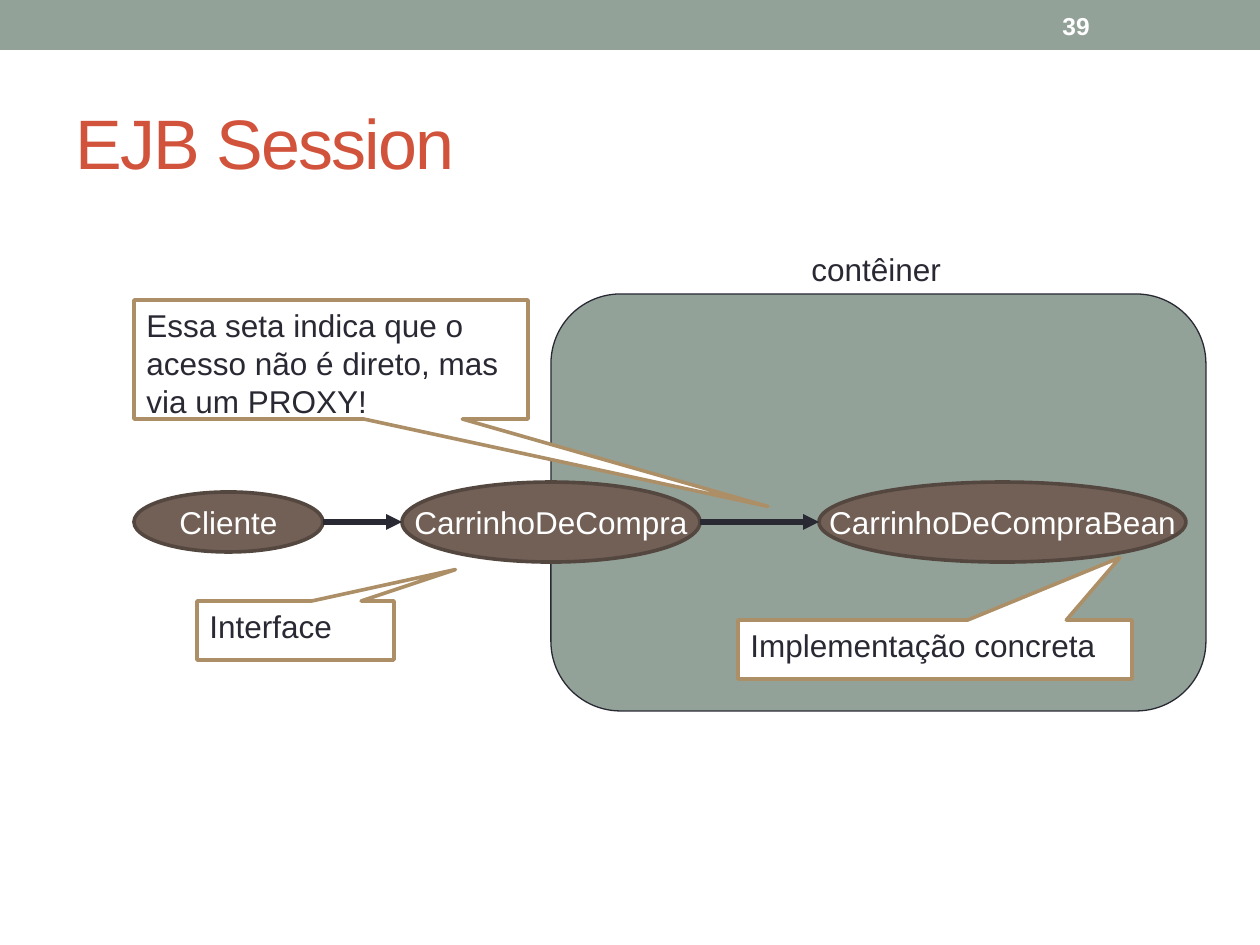
import pptx
import pptx.util
import pptx.dml.color
import pptx.enum.shapes
import pptx.enum.text
import pptx.oxml
import pptx.oxml.ns

PX = 914400 / 126
FONT = "Arial"
INK = {
    "sage": "93A299", "red": "D2533C", "dark": "292934", "brown": "726056",
    "edge": "544740", "tan": "AD8F67", "white": "FFFFFF",
}
KIND = pptx.enum.shapes.MSO_SHAPE
ALIGN = pptx.enum.text.PP_ALIGN
ANCHOR = pptx.enum.text.MSO_ANCHOR
SIZE = pptx.enum.text.MSO_AUTO_SIZE


def emu(*vals):
    return [pptx.util.Emu(round(val * PX)) for val in vals]


def rgb(name):
    return pptx.dml.color.RGBColor.from_string(INK[name])


def write(shape, text, color, size=18, bold=False, align=ALIGN.LEFT,
          anchor=ANCHOR.TOP, wrap=True):
    frame = shape.text_frame
    frame.text = text
    frame.word_wrap = wrap
    frame.vertical_anchor = anchor
    para = frame.paragraphs[0]
    para.alignment = align
    font = para.runs[0].font
    font.name, font.size, font.bold = FONT, pptx.util.Pt(size), bold
    font.color.rgb = rgb(color)


def block(slide, kind, box, fill, line=None, width=2.08, adjust=()):
    shape = slide.shapes.add_shape(kind, *emu(*box))
    shape.shadow.inherit = False
    shape.fill.solid()
    shape.fill.fore_color.rgb = rgb(fill)
    if line:
        shape.line.color.rgb = rgb(line)
        shape.line.width = pptx.util.Pt(width)
    else:
        shape.line.fill.background()
    for i, val in enumerate(adjust):
        shape.adjustments[i] = val
    return shape


def label(slide, box, text, color, **style):
    shape = slide.shapes.add_textbox(*emu(*box))
    write(shape, text, color, **style)
    return shape


def bean(slide, box, text):
    shape = block(slide, KIND.OVAL, box, "brown", "edge")
    write(shape, text, "white", align=ALIGN.CENTER, anchor=ANCHOR.MIDDLE,
          wrap=False)


def note(slide, box, text, tip):
    """Callout whose tip is a px offset from the centre of its box."""
    adjust = tip[0] / box[2], tip[1] / box[3]
    shape = block(slide, KIND.RECTANGULAR_CALLOUT, box, "white", "tan",
                  adjust=adjust)
    write(shape, text, "dark")


def arrow(slide, start, end, y):
    link = slide.shapes.add_connector(
        pptx.enum.shapes.MSO_CONNECTOR.STRAIGHT, *emu(start, y, end, y))
    link.line.color.rgb = rgb("dark")
    link.line.width = pptx.util.Pt(3)
    head = pptx.oxml.parse_xml(
        '<a:tailEnd %s type="triangle"/>' % pptx.oxml.ns.nsdecls("a"))
    link.line._get_or_add_ln().append(head)
    link._element.spPr.append(pptx.oxml.parse_xml(
        "<a:effectLst %s/>" % pptx.oxml.ns.nsdecls("a")))


def header(slide, box):
    x, y, w, h = box
    # Top band and page number
    block(slide, KIND.RECTANGLE, (x, y, w, 50), "sage")
    label(slide, (x + 1050, y + 3, 147, 45), "39", "white", size=14,
          bold=True, anchor=ANCHOR.MIDDLE)
    # Title
    title = slide.shapes.title
    title.left, title.top, title.width, title.height = emu(
        x + 63, y + 73, w - 126, h - 73)
    write(title, "EJB Session", "red", size=40, anchor=ANCHOR.MIDDLE)
    title.text_frame.auto_size = SIZE.NONE
    title.text_frame.paragraphs[0].runs[0]._r.get_or_add_rPr().set("spc", "-100")


def diagram(slide, box):
    x, y, w, h = box
    # Container
    block(slide, KIND.ROUNDED_RECTANGLE, (x + 417, y + 50, w - 417, h - 50),
          "sage", "dark", 0.75, (0.167,))
    name = label(slide, (x + 665, y, 155, 50), "contêiner", "dark", wrap=False)
    name.text_frame.auto_size = SIZE.SHAPE_TO_FIT_TEXT

    # Beans, centred on one axis and joined by arrows
    mid = y + 278
    beans = [("Cliente", 0, 189, 60), ("CarrinhoDeCompra", 268, 298, 80),
             ("CarrinhoDeCompraBean", 685, 367, 80)]
    for text, left, wide, tall in beans:
        bean(slide, (x + left, mid - tall // 2, wide, tall), text)
    for (_, left, wide, _), (_, end, _, _) in zip(beans, beans[1:]):
        arrow(slide, x + left + wide, x + end, mid)

    # Notes
    note(slide, (x + 63, y + 357, 197, 59), "Interface", (160, -61))
    note(slide, (x + 604, y + 376, 394, 59), "Implementação concreta",
         (185, -92))
    note(slide, (x, y + 56, 394, 119),
         "Essa seta indica que o acesso não é direto, mas via um PROXY!",
         (437, 147))


def main():
    deck = pptx.Presentation()
    deck.slide_width, deck.slide_height = emu(1260, 945)
    slide = deck.slides.add_slide(deck.slide_layouts.get_by_name("Title Only"))
    header(slide, (0, 0, 1260, 209))
    diagram(slide, (134, 244, 1072, 467))
    deck.save("out.pptx")


if __name__ == "__main__":
    main()
